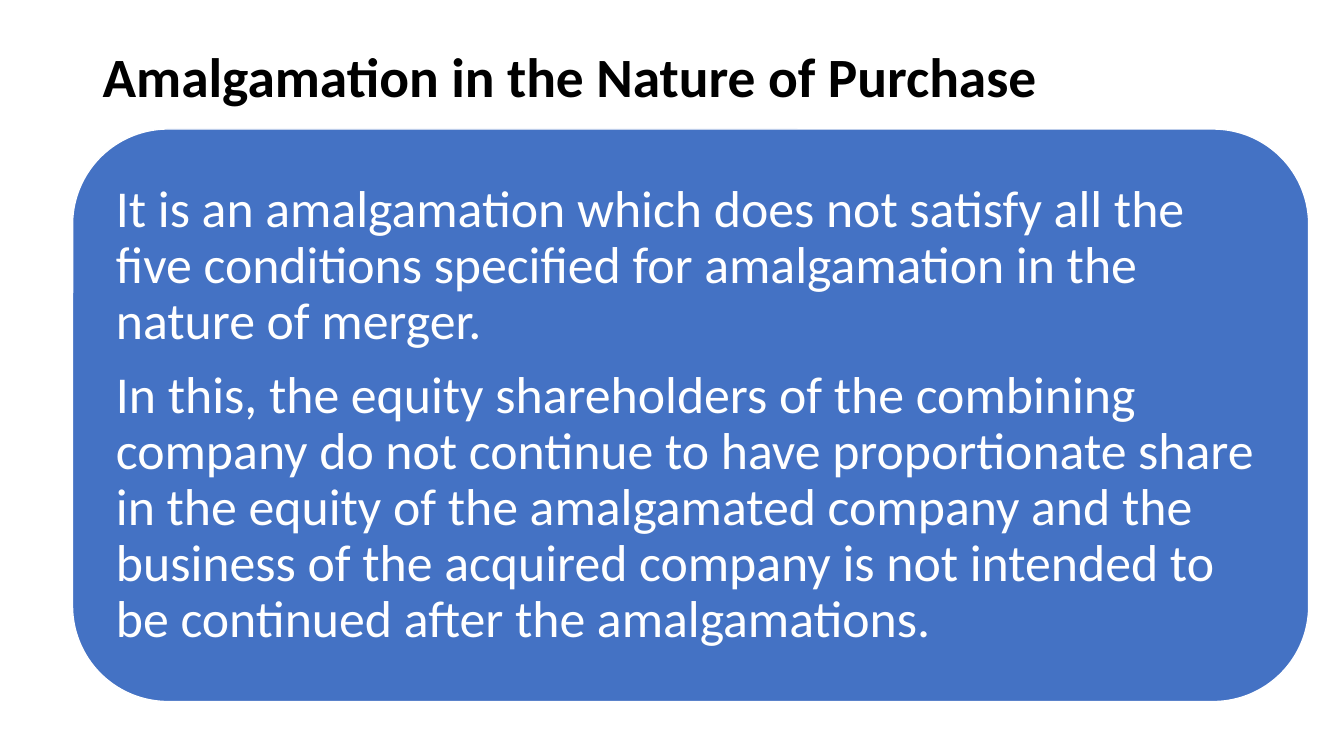
from pptx import Presentation
from pptx import util as u
from pptx.dml.color import RGBColor
from pptx.enum import shapes, text

COLORS = {"ink": "000000", "panel": "4472C4", "paper": "FFFFFF"}
TITLE = "Amalgamation in the Nature of Purchase"
DEFINITION = [
    "It is an amalgamation which does not satisfy all the five conditions "
    "specified for amalgamation in the nature of merger.",
    "In this, the equity shareholders of the combining company do not continue "
    "to have proportionate share in the equity of the amalgamated company and "
    "the business of the acquired company is not intended to be continued after "
    "the amalgamations.",
]


def color(name):
    """Return the named palette colour."""
    return RGBColor.from_string(COLORS[name])


def write(frame, paragraphs, size=37, ink="ink", bold=False, after=0, inset=0.1):
    """Fill a text frame with formatted paragraphs."""
    frame.word_wrap = True
    frame.vertical_anchor = text.MSO_ANCHOR.MIDDLE
    frame.margin_left = frame.margin_right = u.Inches(inset)
    frame.margin_top = frame.margin_bottom = u.Inches(inset)
    for index, wording in enumerate(paragraphs):
        paragraph = frame.add_paragraph() if index else frame.paragraphs[0]
        paragraph.alignment = text.PP_ALIGN.LEFT
        paragraph.line_spacing = 0.9
        paragraph.space_after = u.Pt(after)
        run = paragraph.add_run()
        run.text = wording
        run.font.name = "Calibri"
        run.font.size = u.Pt(size)
        run.font.bold = bold
        run.font.color.rgb = color(ink)


class Deck:
    """Hold the slide and its hundredth-of-an-inch grid."""

    CELL = u.Inches(0.01)

    def __init__(self):
        """Open a widescreen presentation with one blank slide."""
        self.show = Presentation()
        self.show.slide_width = self.CELL * 1333
        self.show.slide_height = self.CELL * 750
        self.slide = self.show.slides.add_slide(self.show.slide_layouts[6])

    def box(self, *cells):
        """Convert column, row, width and height to lengths."""
        return [self.CELL * cell for cell in cells]

    def label(self, cells, paragraphs, **style):
        """Place a text box."""
        label = self.slide.shapes.add_textbox(*self.box(*cells))
        write(label.text_frame, paragraphs, **style)

    def panel(self, cells):
        """Place a rounded panel."""
        panel = self.slide.shapes.add_shape(
            shapes.MSO_SHAPE.ROUNDED_RECTANGLE, *self.box(*cells))
        panel.shadow.inherit = False
        panel.fill.solid()
        panel.fill.fore_color.rgb = color("panel")
        panel.line.color.rgb = color("paper")
        panel.line.width = u.Pt(1)


def main():
    """Build and save the slide."""
    deck = Deck()
    deck.label((92, 36, 1150, 85), [TITLE], size=39.6, bold=True)
    deck.panel((72, 128, 1226, 568))
    deck.label((100, 156, 1170, 513), DEFINITION, ink="paper", after=13, inset=0.15)
    deck.show.save("out.pptx")


if __name__ == "__main__":
    main()
